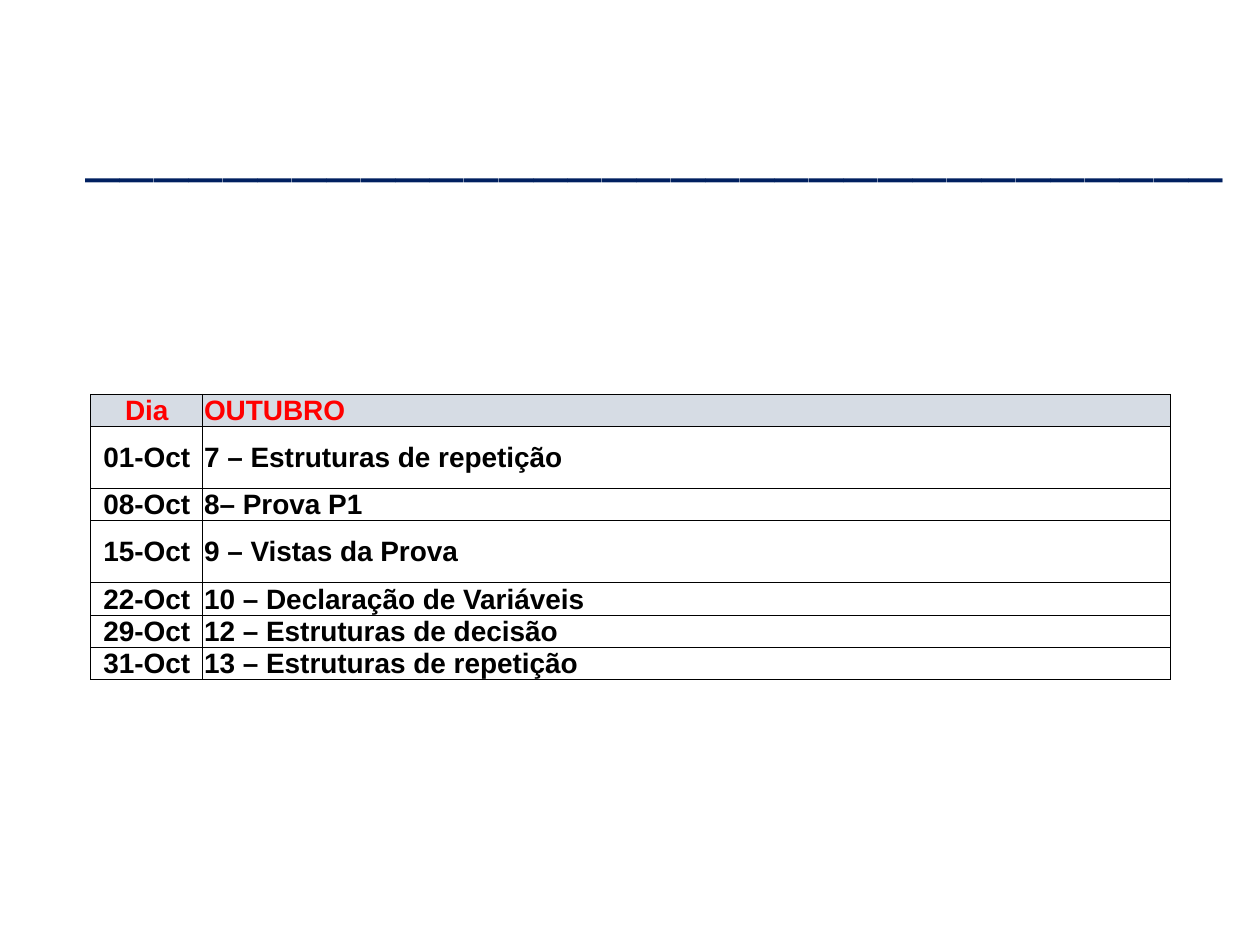
from lxml import etree
from pptx import Presentation
from pptx.dml.color import RGBColor
from pptx.enum.text import MSO_ANCHOR, MSO_AUTO_SIZE, PP_ALIGN
from pptx.oxml.ns import qn
from pptx.util import Inches, Pt

CENTER, LEFT = PP_ALIGN.CENTER, PP_ALIGN.LEFT
MIDDLE, BOTTOM = MSO_ANCHOR.MIDDLE, MSO_ANCHOR.BOTTOM
NO_AUTOFIT = MSO_AUTO_SIZE.NONE
TITLE_ONLY = 5

COLORS = {
    "rule": "002060",
    "heading": "FF0000",
    "text": "000000",
    "border": "000000",
    "heading_fill": "D6DCE4",
}

# Day, topic and row height in inches; the first row is the heading.
SCHEDULE = [
    ("Dia", "OUTUBRO", 0.25),
    ("01-Oct", "7 – Estruturas de repetição", 0.49),
    ("08-Oct", "8– Prova P1", 0.24),
    ("15-Oct", "9 – Vistas da Prova", 0.49),
    ("22-Oct", "10 – Declaração de Variáveis", 0.24),
    ("29-Oct", "12 – Estruturas de decisão", 0.24),
    ("31-Oct", "13 – Estruturas de repetição", 0.24),
]
DAY_WIDTH = 0.89


def add_run(paragraph, text, font_name, size, color, bold=False):
    run = paragraph.add_run()
    run.text = text
    run.font.name = font_name
    run.font.size = Pt(size)
    run.font.bold = bold
    run.font.color.rgb = RGBColor.from_string(COLORS[color])


def add_borders(cell, width=0.5):
    properties = cell._tc.get_or_add_tcPr()
    for side in ("lnL", "lnR", "lnT", "lnB"):
        line = etree.SubElement(properties, qn(f"a:{side}"), w=str(Pt(width)))
        fill = etree.SubElement(line, qn("a:solidFill"))
        etree.SubElement(fill, qn("a:srgbClr"), val=COLORS["border"])


def place_title(slide, left, top, width, height):
    title = slide.shapes.title
    title.left, title.top = Inches(left), Inches(top)
    title.width, title.height = Inches(width), Inches(height)
    frame = title.text_frame
    frame.word_wrap = True
    frame.auto_size = NO_AUTOFIT
    frame.vertical_anchor = MIDDLE
    paragraph = frame.paragraphs[0]
    paragraph.alignment = CENTER
    add_run(paragraph, "_" * 33, "Calibri", 39.6, "rule")


def format_cell(cell, text, is_heading, alignment):
    cell.margin_left = cell.margin_right = cell.margin_top = Inches(0.01)
    cell.margin_bottom = 0
    cell.vertical_anchor = BOTTOM if is_heading else MIDDLE
    add_borders(cell)
    if is_heading:
        cell.fill.solid()
        cell.fill.fore_color.rgb = RGBColor.from_string(COLORS["heading_fill"])
    else:
        cell.fill.background()
    paragraph = cell.text_frame.paragraphs[0]
    paragraph.alignment = alignment
    add_run(paragraph, text, "Arial", 16, "heading" if is_heading else "text", bold=True)


def add_schedule(slide, left, top, width):
    height = sum(row_height for _, _, row_height in SCHEDULE)
    table = slide.shapes.add_table(
        len(SCHEDULE), 2, Inches(left), Inches(top), Inches(width), Inches(height)
    ).table
    table.horz_banding = False
    table.columns[0].width = Inches(DAY_WIDTH)
    table.columns[1].width = Inches(width - DAY_WIDTH)
    for index, (day, topic, row_height) in enumerate(SCHEDULE):
        table.rows[index].height = Inches(row_height)
        format_cell(table.cell(index, 0), day, index == 0, CENTER)
        format_cell(table.cell(index, 1), topic, index == 0, LEFT)


def main():
    presentation = Presentation()
    presentation.slide_width = Inches(10)
    presentation.slide_height = Inches(7.5)
    slide = presentation.slides.add_slide(presentation.slide_layouts[TITLE_ONLY])
    place_title(slide, 0.51, 0.53, 9.37, 1.25)
    add_schedule(slide, 0.72, 3.13, 8.57)
    presentation.save("out.pptx")


if __name__ == "__main__":
    main()
